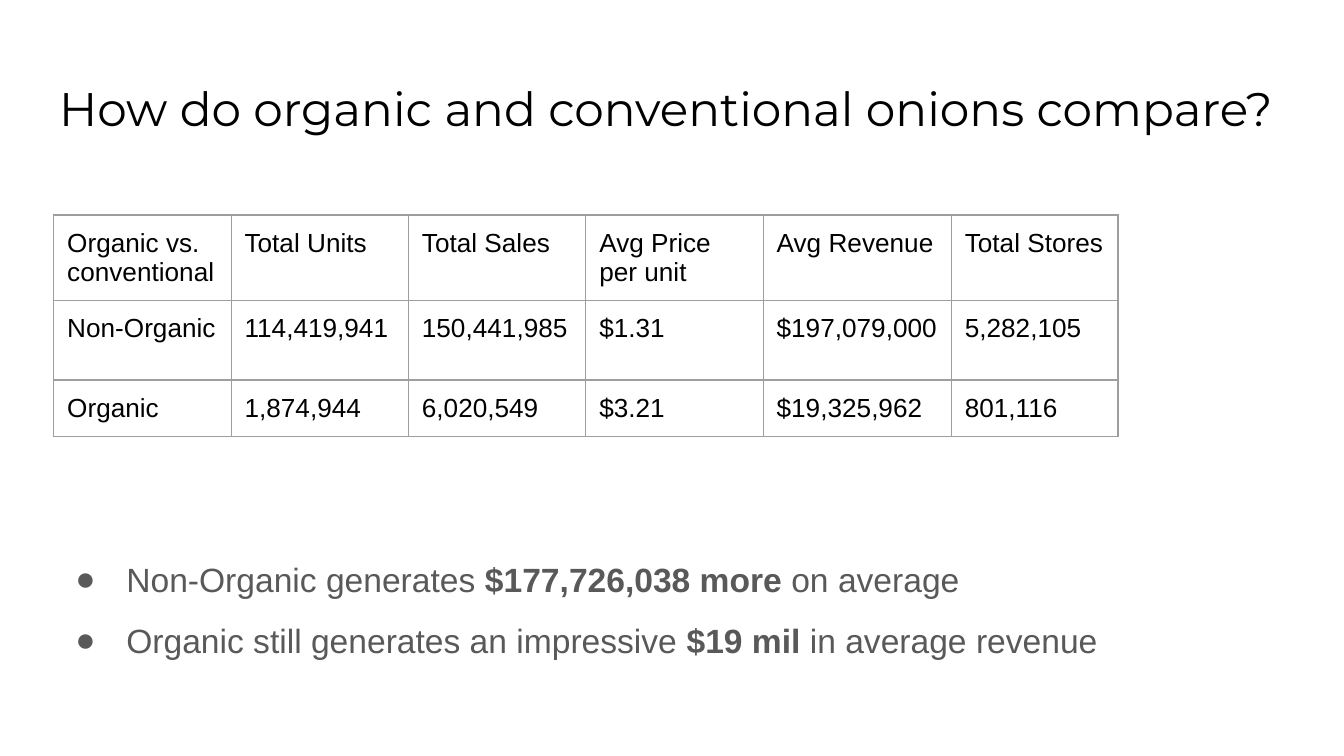
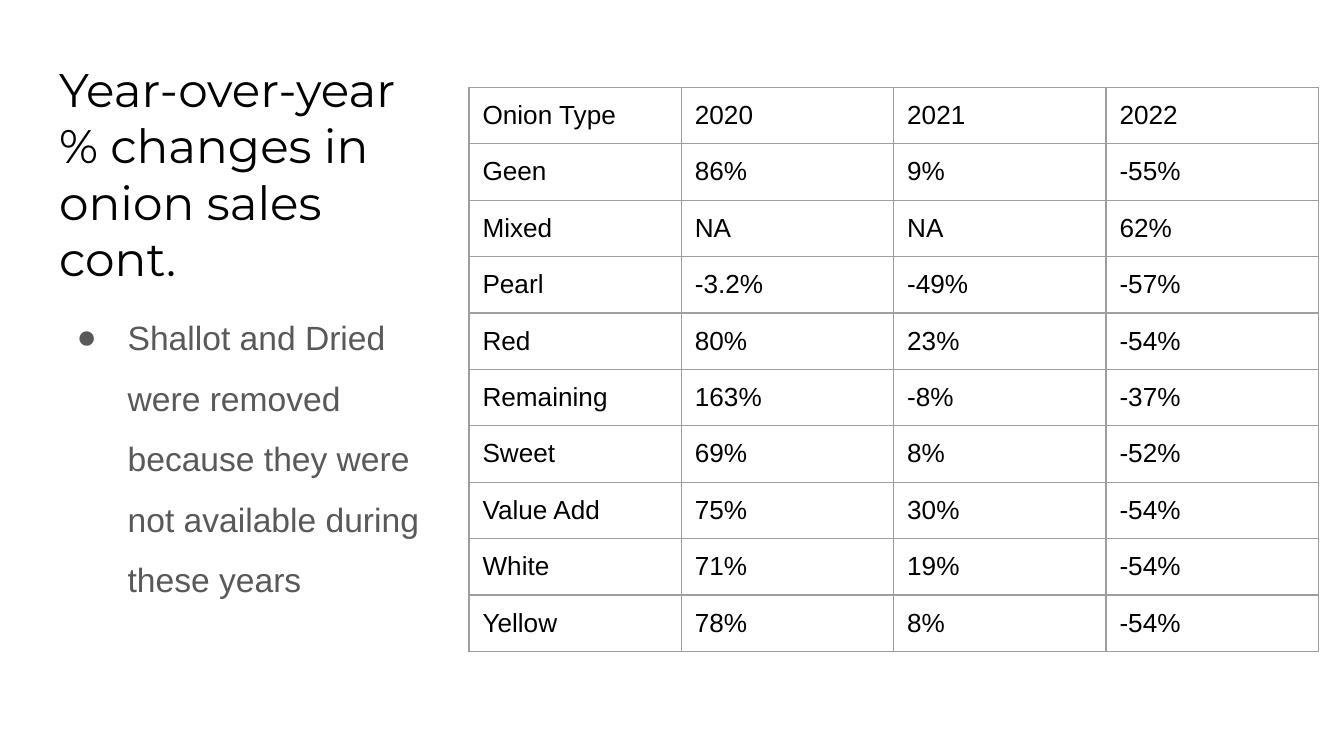
from lxml.etree import SubElement
from pptx import Presentation
from pptx.dml.color import RGBColor as RGB
from pptx.enum.text import MSO_ANCHOR as Anchor, MSO_AUTO_SIZE as AutoSize, PP_ALIGN as Align
from pptx.oxml.ns import qn
from pptx.util import Inches, Pt

COLORS = {"title": "000000", "body": "595959", "cell": "000000", "border": "9E9E9E"}
INSET = Inches(0.1)

onion_slides = [
    {
        "title": "How do organic and conventional onions compare?",
        "title_at": (0.34, 0.49, 9.32, 0.63),
        # Each point is a list of (text, bold) runs
        "points": [
            [("Non-Organic generates ", False), ("$177,726,038 more", True), (" on average", False)],
            [("Organic still generates an impressive ", False), ("$19 mil", True),
             (" in average revenue", False)],
        ],
        "points_at": (0.34, 3.91, 9.32, 2.58),
        "table_at": (0.4, 1.6),
        "widths": [1.32] * 4 + [1.4, 1.24],
        "heights": [0.59, 0.59, 0.39],
        "rows": [
            ["Organic vs. conventional", "Total Units", "Total Sales", "Avg Price per unit",
             "Avg Revenue", "Total Stores"],
            ["Non-Organic", "114,419,941", "150,441,985", "$1.31", "$197,079,000", "5,282,105"],
            ["Organic", "1,874,944", "6,020,549", "$3.21", "$19,325,962", "801,116"],
        ],
    },
    {
        "title": "Year-over-year % changes in onion sales cont.",
        "title_at": (0.34, 0.35, 3.01, 1.86),
        "points": [
            [("Shallot and Dried were removed because they were not available during these years",
              False)],
        ],
        "points_at": (0.35, 2.11, 3.01, 3.09),
        "table_at": (3.49, 0.65),
        "widths": [1.58] * 4,
        "heights": [0.42] * 10,
        "rows": [
            ["Onion Type", "2020", "2021", "2022"],
            ["Geen", "86%", "9%", "-55%"],
            ["Mixed", "NA", "NA", "62%"],
            ["Pearl", "-3.2%", "-49%", "-57%"],
            ["Red", "80%", "23%", "-54%"],
            ["Remaining", "163%", "-8%", "-37%"],
            ["Sweet", "69%", "8%", "-52%"],
            ["Value Add", "75%", "30%", "-54%"],
            ["White", "71%", "19%", "-54%"],
            ["Yellow", "78%", "8%", "-54%"],
        ],
    },
]


def place_frame(holder, at):
    """Move a placeholder and return its cleanly set text frame."""
    holder.left, holder.top, holder.width, holder.height = map(Inches, at)
    frame = holder.text_frame
    frame.margin_left = frame.margin_right = frame.margin_top = frame.margin_bottom = INSET
    frame.vertical_anchor = Anchor.TOP
    frame.auto_size = AutoSize.NONE
    frame.word_wrap = True
    return frame


def add_run(paragraph, text, size, font, color, bold=False):
    run = paragraph.add_run()
    run.text = text
    run.font.size = Pt(size)
    run.font.name = font
    run.font.bold = bold
    run.font.color.rgb = RGB.from_string(COLORS[color])


# Widescreen page, 16:9
deck = Presentation()
deck.slide_width = Inches(10)
deck.slide_height = Inches(10) * 9 // 16

for content in onion_slides:
    slide = deck.slides.add_slide(deck.slide_layouts[1])

    # Title
    heading = place_frame(slide.shapes.title, content["title_at"]).paragraphs[0]
    heading.alignment = Align.LEFT
    add_run(heading, content["title"], 25.2, "Montserrat", "title")

    # Bulleted points
    takeaways = place_frame(slide.placeholders[1], content["points_at"])
    for number, point in enumerate(content["points"]):
        line = takeaways.add_paragraph() if number else takeaways.paragraphs[0]
        line.alignment = Align.LEFT
        line.line_spacing = 1.5
        line.space_before = Pt(0)
        props = line._p.get_or_add_pPr()
        props.set("marL", str(Inches(0.5)))
        props.set("indent", str(Inches(-0.38)))
        bullet_color = SubElement(props, qn("a:buClr"))
        SubElement(bullet_color, qn("a:srgbClr"), val=COLORS["body"])
        SubElement(props, qn("a:buFont"), typeface="Arial")
        SubElement(props, qn("a:buChar"), char="●")
        for text, bold in point:
            add_run(line, text, 18, "Arial", "body", bold)

    # Table
    rows, widths, heights = content["rows"], content["widths"], content["heights"]
    left, top = content["table_at"]
    figures = slide.shapes.add_table(
        len(rows), len(widths), Inches(left), Inches(top),
        Inches(sum(widths)), Inches(sum(heights))).table
    figures.first_row = figures.horz_banding = False
    for column, width in zip(figures.columns, widths):
        column.width = Inches(width)
    for row, height, values in zip(figures.rows, heights, rows):
        row.height = Inches(height)
        for cell, value in zip(row.cells, values):
            cell.margin_left = cell.margin_right = cell.margin_top = cell.margin_bottom = INSET
            add_run(cell.text_frame.paragraphs[0], value, 14, "Arial", "cell")
            # Borders come before the fill in the cell properties
            for side in ("lnL", "lnR", "lnT", "lnB"):
                border = SubElement(cell._tc.get_or_add_tcPr(), qn(f"a:{side}"), w=str(Pt(0.75)))
                stroke = SubElement(border, qn("a:solidFill"))
                SubElement(stroke, qn("a:srgbClr"), val=COLORS["border"])
            cell.fill.background()

deck.save("out.pptx")
